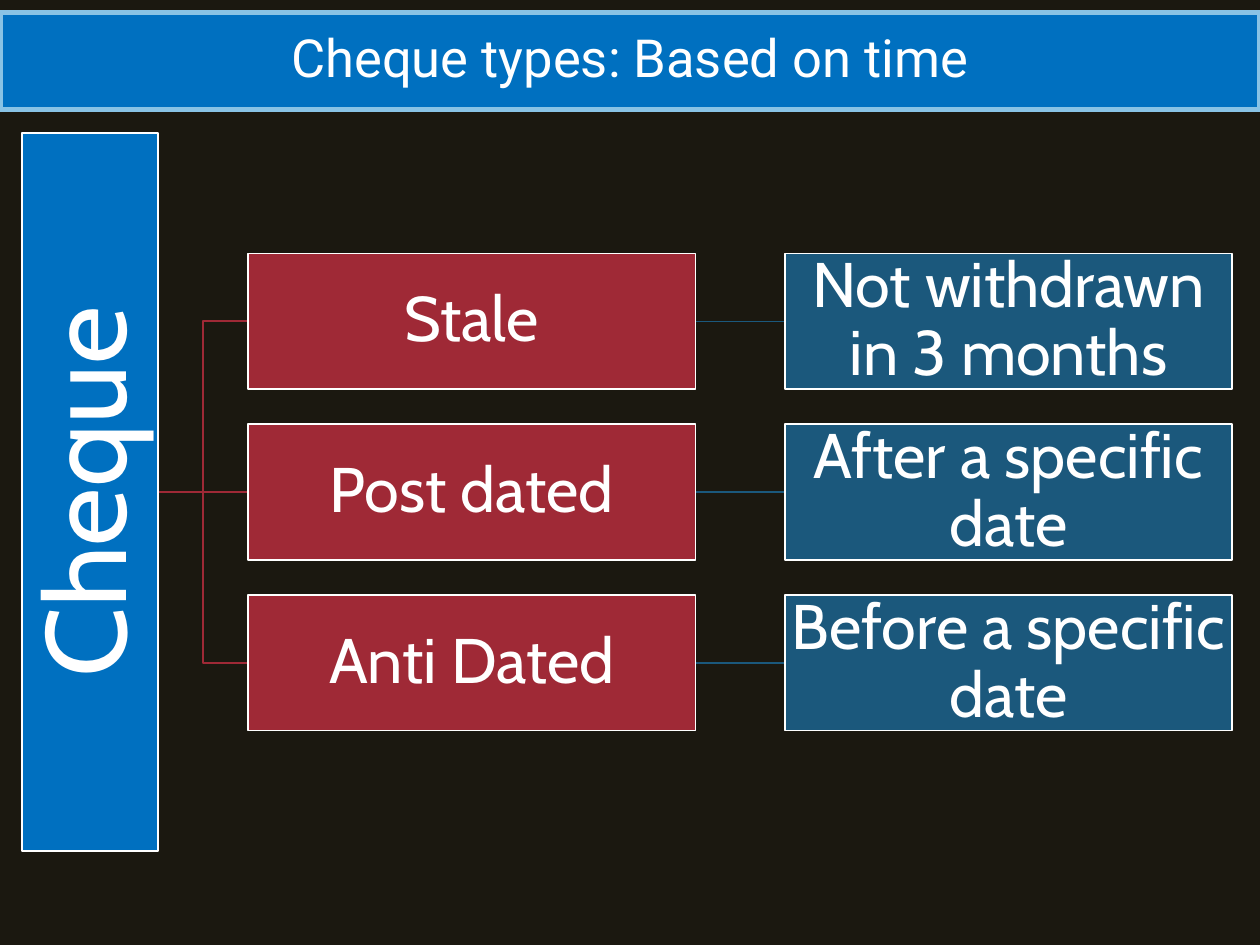
from dataclasses import dataclass

from lxml import etree
from pptx import Presentation
from pptx.dml.color import RGBColor
from pptx.enum import shapes, text
from pptx.oxml import ns
from pptx.util import Cm, Pt


@dataclass(frozen=True)
class Theme:
    back: str = "1B1810"
    blue: str = "0070C0"
    sky: str = "89C3E5"
    red: str = "9F2936"
    teal: str = "1B587C"
    white: str = "FFFFFF"
    head: str = "Roboto"
    body: str = "Cabin"
    title: int = 30
    root: int = 65
    item: int = 36


THEME = Theme()
WIDE, HIGH = 25.4, 19.05
BOX_W, BOX_H = 9.02, 2.74
TYPE_X, NOTE_X = 5.0, 15.82
ROOT_X, ROOT_W = 1.81, 14.48
MID, STEP = 9.92, 3.44
TYPES = [
    ("Stale", "Not withdrawn in 3 months"),
    ("Post dated", "After a specific date"),
    ("Anti Dated", "Before a specific date"),
]


def rgb(code):
    return RGBColor.from_string(code)


def apply(target, values):
    for name, value in values.items():
        setattr(target, name, value)


def paint(shape, fill, edge, width):
    shape.fill.solid()
    shape.fill.fore_color.rgb = rgb(fill)
    shape.line.color.rgb = rgb(edge)
    shape.line.width = Pt(width)


def write(shape, words, size, face, inset):
    frame = shape.text_frame
    sides = ("left", "right", "top", "bottom")
    apply(frame, {f"margin_{side}": Cm(inset) for side in sides})
    apply(frame, {
        "word_wrap": True,
        "auto_size": text.MSO_AUTO_SIZE.NONE,
        "vertical_anchor": text.MSO_ANCHOR.MIDDLE,
    })
    para = frame.paragraphs[0]
    apply(para, {"alignment": text.PP_ALIGN.CENTER, "line_spacing": 0.9})
    run = para.add_run()
    run.text = words
    apply(run.font, {"size": Pt(size), "name": face})
    run.font.color.rgb = rgb(THEME.white)


def add_title(slide, words):
    title = slide.shapes.title
    apply(title, {
        "left": Cm(0), "top": Cm(0.25),
        "width": Cm(WIDE), "height": Cm(1.96),
    })
    paint(title, THEME.blue, THEME.sky, 3)
    write(title, words, THEME.title, THEME.head, 0.13)


def add_box(slide, words, spot, fill, width=BOX_W, size=THEME.item,
            inset=0.08, turn=0):
    """Add a label box; spot is its left edge and vertical centre."""
    left, mid = spot
    box = slide.shapes.add_shape(
        shapes.MSO_SHAPE.RECTANGLE,
        Cm(left), Cm(mid - BOX_H / 2), Cm(width), Cm(BOX_H))
    box.shadow.inherit = False
    box.rotation = turn
    paint(box, fill, THEME.white, 1)
    write(box, words, size, THEME.body, inset)


def add_link(slide, start, end, color):
    """Join two points, with an elbow when their heights differ."""
    kinds = shapes.MSO_CONNECTOR
    kind = kinds.STRAIGHT if start[1] == end[1] else kinds.ELBOW
    link = slide.shapes.add_connector(kind, *map(Cm, start + end))
    link.line.color.rgb = rgb(color)
    link.line.width = Pt(1)
    etree.SubElement(link._element.spPr, ns.qn("a:effectLst"))


def add_row(slide, kind, note, mid):
    add_link(slide, (ROOT_X + BOX_H / 2, MID), (TYPE_X, mid), THEME.red)
    add_link(slide, (TYPE_X + BOX_W, mid), (NOTE_X, mid), THEME.teal)
    add_box(slide, kind, (TYPE_X, mid), THEME.red)
    add_box(slide, note, (NOTE_X, mid), THEME.teal)


def main():
    deck = Presentation()
    apply(deck, {"slide_width": Cm(WIDE), "slide_height": Cm(HIGH)})
    slide = deck.slides.add_slide(deck.slide_layouts[5])
    slide.background.fill.solid()
    slide.background.fill.fore_color.rgb = rgb(THEME.back)

    add_title(slide, "Cheque types: Based on time")
    for row, (kind, note) in enumerate(TYPES):
        add_row(slide, kind, note, MID + (row - 1) * STEP)
    add_box(slide, "Cheque", (ROOT_X - ROOT_W / 2, MID), THEME.blue,
            width=ROOT_W, size=THEME.root, inset=0.13, turn=270)
    deck.save("out.pptx")


if __name__ == "__main__":
    main()
